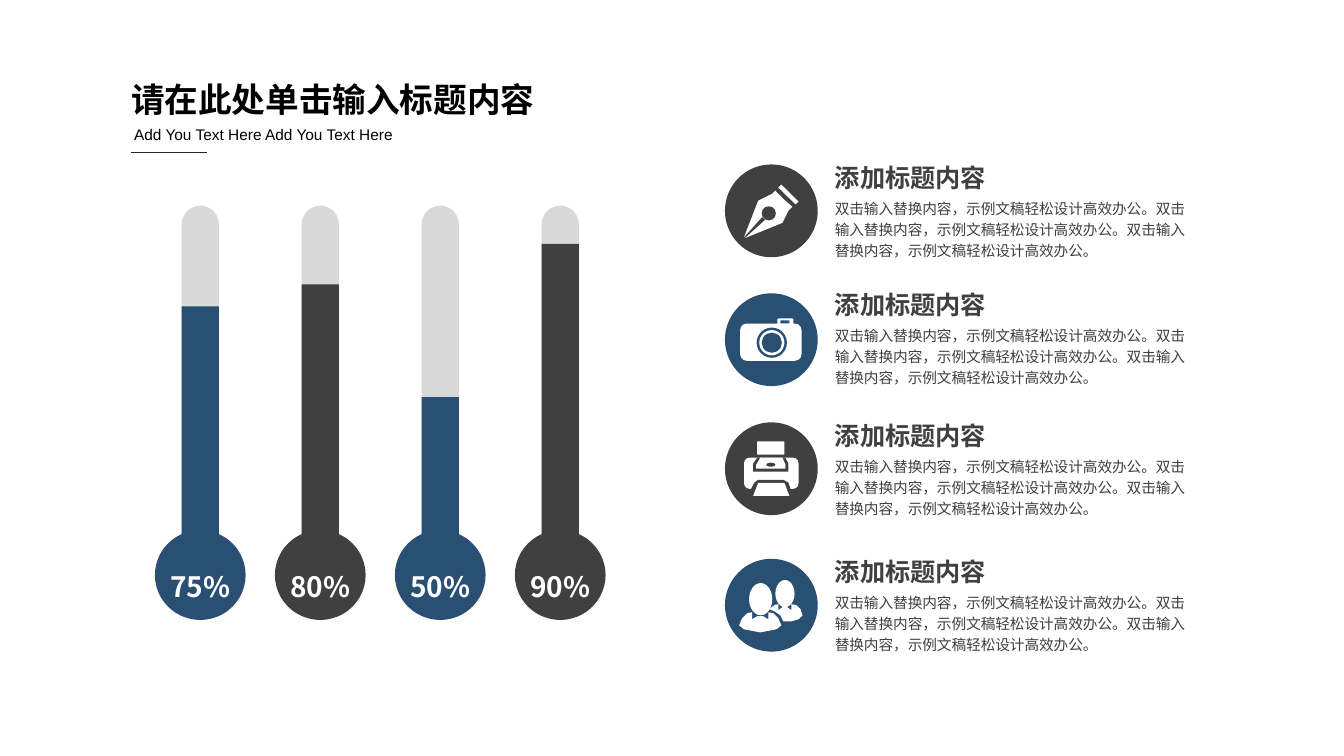
import pptx
import pptx.util
import pptx.dml.color
import pptx.enum.shapes
import pptx.enum.text
import pptx.oxml.ns
from dataclasses import dataclass
from lxml import etree

Inches = pptx.util.Inches
Kind = pptx.enum.shapes.MSO_SHAPE
Align = pptx.enum.text.PP_ALIGN

WIDTH, HEIGHT = 13.33, 7.5
CELL = HEIGHT / 90
COLORS = {"blue": "294F73", "dark": "404040", "track": "D9D9D9",
          "white": "FFFFFF", "black": "000000", "rule": "262626"}
SANS = "Noto Sans CJK SC"
HEADING = "添加标题内容"
BODY = "双击输入替换内容，示例文稿轻松设计高效办公。" * 3


@dataclass
class Tube:
    label: str
    color: str
    level: float


@dataclass
class Part:
    kind: Kind
    box: tuple[float, float, float, float]
    solid: bool = True
    round: float | None = None


@dataclass
class Outline:
    points: list[tuple[float, float]]
    solid: bool = True


@dataclass
class Item:
    color: str
    middle: float
    top: float
    icon: list[Part | Outline]


@dataclass
class Style:
    size: float
    color: str
    bold: bool = False
    font: str = SANS
    align: Align = Align.LEFT
    spacing: float | None = None


PEN = [
    Outline([(1.68, -1.2), (0.48, -2.4), (0.12, -2.04), (-1.56, -1.2),
             (-3.24, 3.12), (-1.08, 0.72), (-0.72, 1.08), (-3.12, 3.24),
             (1.32, 1.44), (2.04, 0), (2.52, -0.48)]),
    Part(Kind.OVAL, (-1.14, -0.54, 1.68, 1.68), False),
    Outline([(1.2, -3.12), (3.24, -1.08), (2.88, -0.78), (0.84, -2.76)]),
]
CAMERA = [
    Part(Kind.ROUNDED_RECTANGLE, (-3.72, -1.92, 7.32, 4.44), round=0.18),
    Part(Kind.ROUNDED_RECTANGLE, (0.72, -2.52, 1.92, 0.84), round=0.2),
    Part(Kind.RECTANGLE, (1.08, -2.28, 1.08, 0.36), False),
    Part(Kind.OVAL, (-1.74, -1.44, 3.6, 3.6), False),
    Part(Kind.OVAL, (-1.44, -1.14, 3, 3)),
    Part(Kind.OVAL, (-1.14, -0.84, 2.4, 2.4), False),
]
PRINTER = [
    Part(Kind.RECTANGLE, (-1.68, -3.24, 3.24, 1.56)),
    Part(Kind.ROUNDED_RECTANGLE, (-3.24, -1.32, 6.48, 3.72), round=0.18),
    Outline([(-1.68, -1.32), (1.68, -1.32), (2.04, -0.6), (2.04, 0.36),
             (-2.16, 0.36), (-2.16, -0.6)], False),
    Outline([(-1.32, -1.32), (1.32, -1.32), (1.68, -0.48), (1.68, 0),
             (-1.8, 0), (-1.8, -0.48)]),
    Part(Kind.OVAL, (-0.6, -0.72, 1.08, 0.48), False),
    Outline([(-2.4, 2.4), (-2.04, 1.68), (-1.56, 1.32), (1.44, 1.32),
             (2.04, 1.68), (2.28, 2.4)], False),
    Outline([(-1.56, 1.68), (1.56, 1.68), (2.16, 3.24), (-2.16, 3.24)]),
]
PEOPLE = [
    Part(Kind.OVAL, (0.48, -3, 2.28, 3.24)),
    Outline([(-0.24, 0.48), (0.36, 0), (0.84, -0.12), (0.84, 0.6),
             (1.32, 0.24), (1.92, 0.24), (2.4, 0.6), (2.4, -0.12), (3, 0),
             (3.48, 0.48), (3.72, 1.2), (3.24, 1.68), (2.4, 1.92),
             (1.44, 1.92), (1.08, 1.2), (0.36, 0.72)]),
    Part(Kind.OVAL, (-2.64, -2.64, 2.76, 3.84)),
    Outline([(-2.88, 0.96), (-2.28, 0.84), (-2.28, 1.68), (-1.68, 1.32),
             (-0.96, 1.32), (-0.36, 1.68), (-0.36, 0.84), (0.24, 0.96),
             (0.84, 1.56), (1.2, 2.4), (0.6, 2.88), (-1.32, 3.24),
             (-3.24, 2.88), (-3.84, 2.4), (-3.48, 1.56)]),
]
TUBES = [Tube("75%", "blue", 30.36), Tube("80%", "dark", 33),
         Tube("50%", "blue", 19.56), Tube("90%", "dark", 37.8)]
ITEMS = [Item("dark", 25.1, 18.72, PEN), Item("blue", 40.44, 33.84, CAMERA),
         Item("dark", 55.8, 49.44, PRINTER), Item("blue", 72.05, 65.64, PEOPLE)]


def grid(cells: float) -> int:
    return Inches(cells * CELL)


def tint(name: str) -> pptx.dml.color.RGBColor:
    return pptx.dml.color.RGBColor.from_string(COLORS[name])


def paint(shape, color: str) -> None:
    shape.shadow.inherit = False
    shape.fill.solid()
    shape.fill.fore_color.rgb = tint(color)
    shape.line.fill.background()


def block(shapes, part: Part, color: str) -> None:
    shape = shapes.add_shape(part.kind, *map(grid, part.box))
    if part.round is not None:
        shape.adjustments[0] = part.round
    paint(shape, color)


def trace(shapes, points: list[tuple[float, float]], color: str) -> None:
    first, *rest = [(grid(x), grid(y)) for x, y in points]
    pen = shapes.build_freeform(*first)
    pen.add_line_segments(rest)
    paint(pen.convert_to_shape(), color)


def write(shapes, words: str, box: tuple[float, float, float, float],
          style: Style, inset: tuple[float, float] = (1.2, 0.6)) -> None:
    frame = shapes.add_textbox(*map(grid, box)).text_frame
    frame.word_wrap = True
    frame.margin_left = frame.margin_right = grid(inset[0])
    frame.margin_top = frame.margin_bottom = grid(inset[1])
    para = frame.paragraphs[0]
    para.text = words
    para.alignment = style.align
    para.line_spacing = style.spacing
    font = para.font
    font.size = pptx.util.Pt(style.size)
    font.bold = style.bold
    font.color.rgb = tint(style.color)
    font.name = style.font
    latin = para._p.find(".//" + pptx.oxml.ns.qn("a:latin"))
    east = etree.Element(pptx.oxml.ns.qn("a:ea"), typeface=style.font)
    latin.addnext(east)


def header(shapes) -> None:
    write(shapes, "请在此处单击输入标题内容", (14.76, 8.88, 55.2, 5.76),
          Style(24, "black", True), (0.84, 0.48))
    write(shapes, "Add You Text Here Add You Text Here", (14.76, 13.68, 36.72, 4.08),
          Style(11, "black", font="Arial", spacing=1.3))
    rule = shapes.add_connector(pptx.enum.shapes.MSO_CONNECTOR.STRAIGHT,
                                *map(grid, (15.6, 18.12, 24.6, 18.12)))
    rule.line.color.rgb = tint("rule")
    rule.line.width = pptx.util.Pt(0.75)
    etree.SubElement(rule._element.spPr, pptx.oxml.ns.qn("a:effectLst"))


def gauge(shapes, tube: Tube, mid: float) -> None:
    wide, top, base = 4.44, 24.48, 66.84
    left = mid - wide / 2
    block(shapes, Part(Kind.ROUND_2_SAME_RECTANGLE, (left, top, wide, base - top),
                       round=0.5), "track")
    block(shapes, Part(Kind.RECTANGLE, (left, base - tube.level, wide, tube.level)),
          tube.color)
    block(shapes, Part(Kind.OVAL, (mid - 5.4, 63.12, 10.8, 10.68)), tube.color)
    write(shapes, tube.label, (mid - 5.88, 65.16, 11.76, 6.24),
          Style(20, "white", True, align=Align.CENTER, spacing=1.5))


def entry(shapes, item: Item) -> None:
    mid, size = 91.8, 11.04
    block(shapes, Part(Kind.OVAL, (mid - size / 2, item.middle - size / 2, size, size)),
          item.color)
    for piece in item.icon:
        color = "white" if piece.solid else item.color
        if isinstance(piece, Outline):
            trace(shapes, [(mid + x, item.middle + y) for x, y in piece.points], color)
        else:
            x, y, wide, high = piece.box
            box = (mid + x, item.middle + y, wide, high)
            block(shapes, Part(piece.kind, box, round=piece.round), color)
    write(shapes, HEADING, (98.16, item.top, 32.16, 4.8), Style(18, "dark", True))
    write(shapes, BODY, (98.16, item.top + 4.05, 45.6, 8.88),
          Style(10.5, "dark", spacing=1.2))


def main() -> None:
    deck = pptx.Presentation()
    deck.slide_width, deck.slide_height = Inches(WIDTH), Inches(HEIGHT)
    shapes = deck.slides.add_slide(deck.slide_layouts[6]).shapes
    for place, tube in enumerate(TUBES):
        gauge(shapes, tube, 23.84 + 14.28 * place)
    for item in ITEMS:
        entry(shapes, item)
    header(shapes)
    deck.save("out.pptx")


if __name__ == "__main__":
    main()
